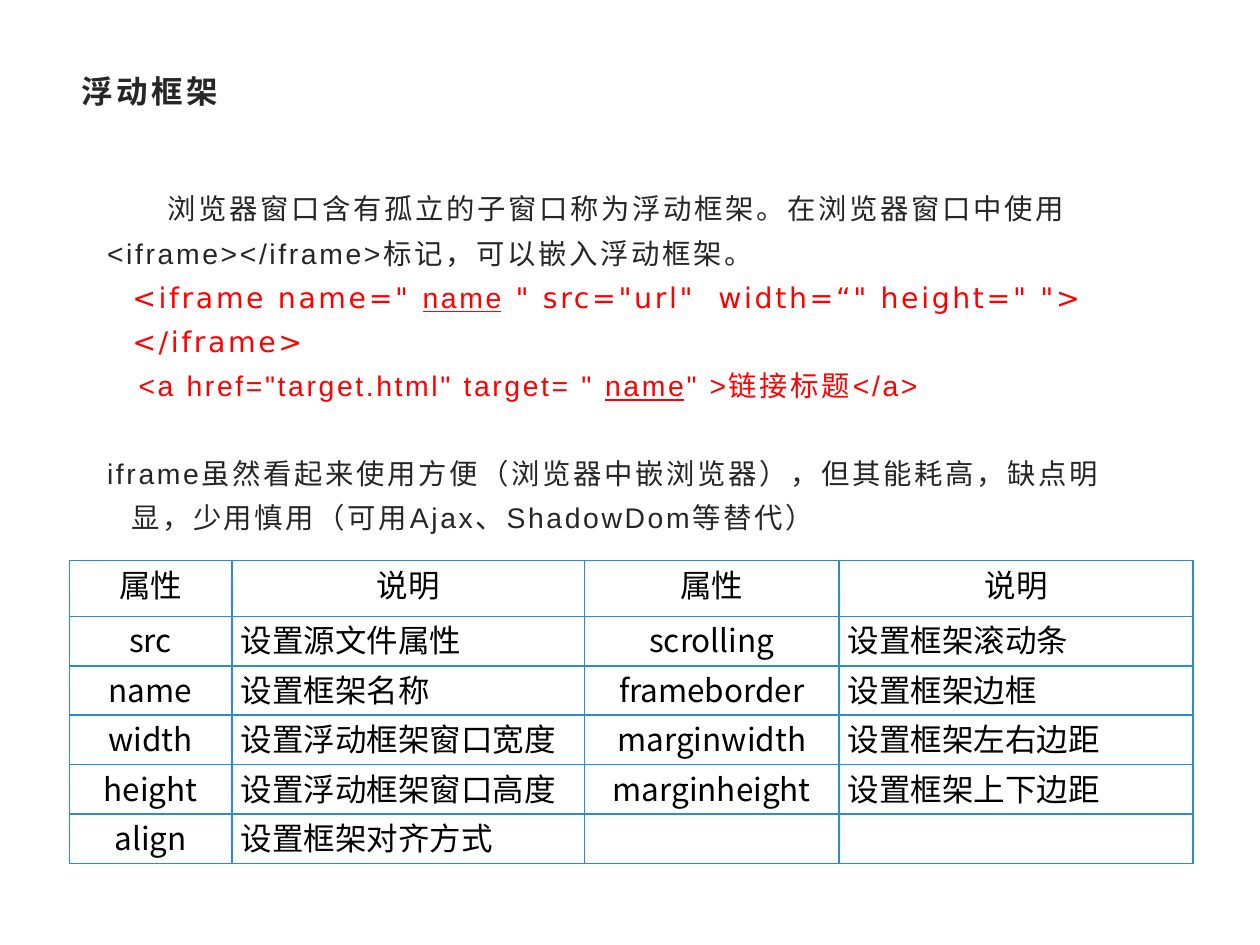
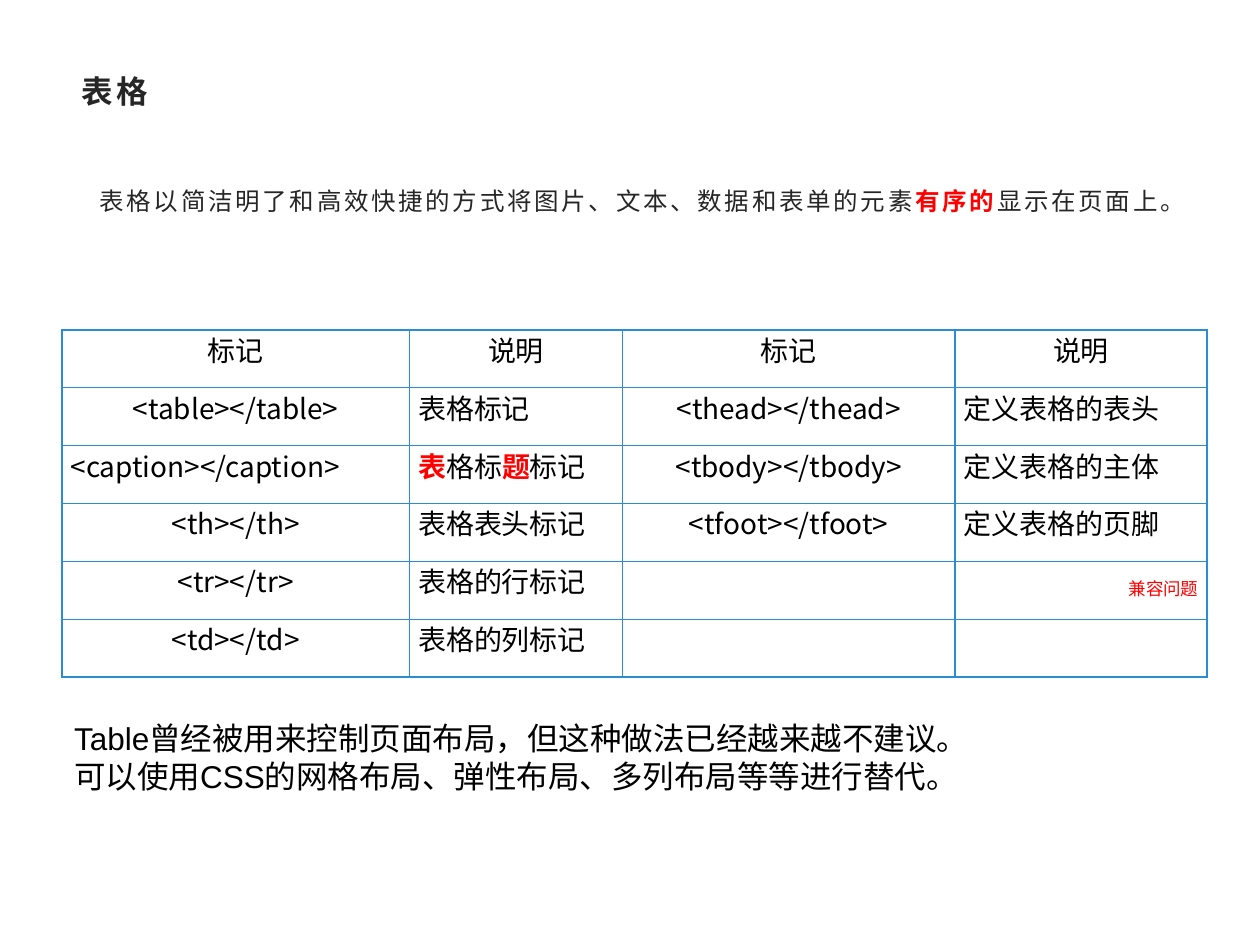
from dataclasses import dataclass
from typing import Any, NamedTuple

from lxml import etree
from pptx import Presentation, util as u
from pptx.dml.color import RGBColor
from pptx.enum import text
from pptx.oxml import ns

# Shared look
COLORS = {"ink": "262626", "black": "000000", "red": "FF0000",
          "line": "2A8DD4", "paper": "FFFFFF"}
LATIN, CODE, CJK = "Arial", "DejaVu Sans", "Noto Sans CJK SC"
LEFT, CENTER, RIGHT = text.PP_ALIGN.LEFT, text.PP_ALIGN.CENTER, text.PP_ALIGN.RIGHT
TOP, MIDDLE = text.MSO_ANCHOR.TOP, text.MSO_ANCHOR.MIDDLE
SLIDE_W, SLIDE_H = u.Inches(10), u.Inches(7.5)


class Box(NamedTuple):
    """Left, top, width and height in percent of the slide."""
    left: float
    top: float
    width: float
    height: float


class Run(NamedTuple):
    words: str
    style: dict[str, Any] = {}


@dataclass
class Para:
    runs: list[Run]
    align: Any = LEFT
    margin: float = 0
    indent: float = 0
    line: Any = 1.0
    before: float = 0
    after: float = 0


@dataclass
class Grid:
    left: float
    top: float
    cols: list[float]
    head_row: float
    row: float
    size: float
    anchor: Any
    line: Any
    rows: list[list[Any]]


TITLE_BOX = Box(5.5, 6.4, 89, 6.4)
RED_BOLD = {"color": "red", "bold": True}


def across(percent: float) -> int:
    return round(SLIDE_W * percent / 100)


def down(percent: float) -> int:
    return round(SLIDE_H * percent / 100)


def place(box: Box) -> tuple[int, int, int, int]:
    return across(box.left), down(box.top), across(box.width), down(box.height)


def add_run(p, words: str, *, size: float, color: str = "ink", font: str = LATIN,
            bold: bool = False, underline: bool = False, spacing: float = 0) -> None:
    r = p.add_run()
    r.text = words
    f = r.font
    f.size, f.name, f.bold, f.underline = u.Pt(size), font, bold, underline
    f.color.rgb = RGBColor.from_string(COLORS[color])
    rpr = r._r.get_or_add_rPr()
    rpr.set("spc", str(round(spacing * 100)))
    latin = rpr.find(ns.qn("a:latin"))
    east = etree.Element(ns.qn("a:ea"), typeface=CJK)
    latin.addnext(east)


def write(tf, paras: list[Para], **style: Any) -> None:
    """Fill a text frame; run styles override the common style."""
    for i, para in enumerate(paras):
        p = tf.paragraphs[0] if i == 0 else tf.add_paragraph()
        ppr = p._p.get_or_add_pPr()
        ppr.set("marL", str(u.Inches(para.margin)))
        ppr.set("indent", str(u.Inches(para.indent)))
        etree.SubElement(ppr, ns.qn("a:buNone"))
        p.alignment, p.line_spacing = para.align, para.line
        p.space_before, p.space_after = u.Pt(para.before), u.Pt(para.after)
        for run in para.runs:
            add_run(p, run.words, **{**style, **run.style})


def fill_placeholder(sp, box: Box, paras: list[Para], anchor: Any, **style: Any) -> None:
    sp.left, sp.top, sp.width, sp.height = place(box)
    tf = sp.text_frame
    tf.word_wrap, tf.auto_size = True, text.MSO_AUTO_SIZE.NONE
    tf.vertical_anchor = anchor
    write(tf, paras, **style)


def add_slide(prs, title: str, box: Box, body: list[Para], size: float):
    s = prs.slides.add_slide(prs.slide_layouts[1])
    s.background.fill.solid()
    s.background.fill.fore_color.rgb = RGBColor.from_string(COLORS["paper"])
    fill_placeholder(s.shapes.title, TITLE_BOX, [Para([Run(title)])], MIDDLE,
                     size=18, bold=True, spacing=2)
    fill_placeholder(s.placeholders[1], box, body, TOP, size=size, spacing=1.5)
    return s


def outline_cell(cell) -> None:
    tcpr = cell._tc.get_or_add_tcPr()
    for side in ("lnL", "lnR", "lnT", "lnB"):
        ln = etree.SubElement(tcpr, ns.qn(f"a:{side}"), w=str(u.Pt(1)))
        fill = etree.SubElement(ln, ns.qn("a:solidFill"))
        etree.SubElement(fill, ns.qn("a:srgbClr"), val=COLORS["line"])
    cell.fill.background()


def add_grid(s, grid: Grid) -> None:
    heights = [grid.head_row] + [grid.row] * (len(grid.rows) - 1)
    box = Box(grid.left, grid.top, sum(grid.cols), sum(heights))
    table = s.shapes.add_table(len(heights), len(grid.cols), *place(box)).table
    table.first_row = table.horz_banding = False
    for column, width in zip(table.columns, grid.cols):
        column.width = across(width)
    for i, (height, row) in enumerate(zip(heights, grid.rows)):
        table.rows[i].height = down(height)
        for j, content in enumerate(row):
            cell = table.cell(i, j)
            cell.margin_left = cell.margin_right = u.Inches(0.07)
            cell.margin_top = cell.margin_bottom = 0
            cell.vertical_anchor = grid.anchor
            outline_cell(cell)
            # Plain strings: names and headings centred, descriptions left
            if isinstance(content, str):
                align = CENTER if i == 0 or j % 2 == 0 else LEFT
                content = Para([Run(content)] if content else [], align)
            content.line = grid.line
            write(cell.text_frame, [content], size=grid.size, font=CJK, color="black")


# Slide 1: floating frames
RED, RED_CODE = {"color": "red"}, {"color": "red", "font": CODE}
FRAME_NAME = Run("name", {"color": "red", "underline": True})
FRAME_BODY = [
    Para([Run("浏览器窗口含有孤立的子窗口称为浮动框架。在浏览器窗口中使用"
              "<iframe></iframe>标记，可以嵌入浮动框架。")], indent=0.48, line=1.3),
    Para([Run('<iframe name=" ', RED_CODE), FRAME_NAME,
          Run(' " src="url"  width=“" height=" "> </iframe>', RED_CODE)],
         margin=0.2, line=1.3),
    Para([Run('<a href="target.html" target= " ', RED), FRAME_NAME,
          Run('" >链接标题</a>', RED)], margin=0.25, line=1.3),
    Para([Run("iframe虽然看起来使用方便（浏览器中嵌浏览器），但其能耗高，缺点明显，"
              "少用慎用（可用Ajax、ShadowDom等替代）")],
         margin=0.19, indent=-0.19, line=1.3, before=25),
]
FRAME_GRID = Grid(5.5, 59.33, [12.9, 28, 20.2, 28.1], 5.9, 5.23, 18, TOP, 1.0, [
    ["属性", "说明"] * 2,
    ["src", "设置源文件属性", "scrolling", "设置框架滚动条"],
    ["name", "设置框架名称", "frameborder", "设置框架边框"],
    ["width", "设置浮动框架窗口宽度", "marginwidth", "设置框架左右边距"],
    ["height", "设置浮动框架窗口高度", "marginheight", "设置框架上下边距"],
    ["align", "设置框架对齐方式", "", ""],
])

# Slide 2: tables
TABLE_BODY = [Para([
    Run("表格以简洁明了和高效快捷的方式将图片、文本、数据和表单的元素"),
    Run("有序的", RED_BOLD), Run("显示在页面上。")], indent=0.45, line=1.2)]
CAPTION_NOTE = Para([Run("表", RED_BOLD), Run("格标"), Run("题", RED_BOLD), Run("标记")])
COMPAT_NOTE = Para([Run("兼容问题", {"size": 10, "color": "red"})], RIGHT)
TABLE_GRID = Grid(4.9, 34.93, [27.6, 16.9, 26.4, 20], 6.1, 6.13, 16, MIDDLE, u.Pt(12), [
    ["标记", "说明"] * 2,
    ["<table></table>", "表格标记", "<thead></thead>", "定义表格的表头"],
    [Para([Run("<caption></caption>")]), CAPTION_NOTE,
     "<tbody></tbody>", "定义表格的主体"],
    ["<th></th>", "表格表头标记", "<tfoot></tfoot>", "定义表格的页脚"],
    ["<tr></tr>", "表格的行标记", "", COMPAT_NOTE],
    ["<td></td>", "表格的列标记", "", ""],
])
LAYOUT_ADVICE = [
    Para([Run("Table曾经被用来控制页面布局，但这种做法已经越来越不建议。")]),
    Para([Run("可以使用CSS的网格布局、弹性布局、多列布局等等进行替代。")]),
]


def main() -> None:
    prs = Presentation()
    prs.slide_width, prs.slide_height = SLIDE_W, SLIDE_H

    s = add_slide(prs, "浮动框架", Box(7.5, 18.53, 81.4, 40.8), FRAME_BODY, 16.2)
    add_grid(s, FRAME_GRID)

    s = add_slide(prs, "表格", Box(2.4, 18.4, 93.3, 15.73), TABLE_BODY, 14)
    add_grid(s, TABLE_GRID)
    tf = s.shapes.add_textbox(*place(Box(4.9, 75.47, 90.8, 13.47))).text_frame
    tf.word_wrap = True
    write(tf, LAYOUT_ADVICE, size=18, color="black")

    prs.save("out.pptx")


if __name__ == "__main__":
    main()
